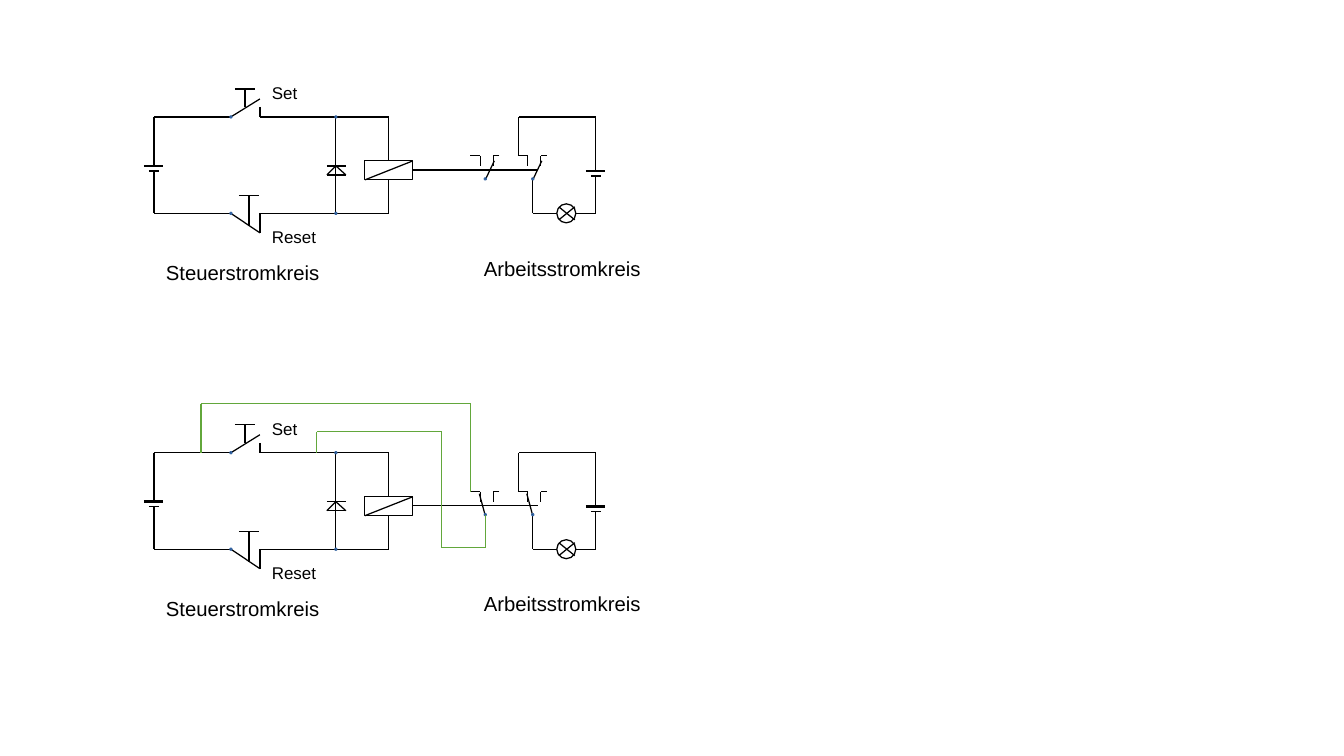
from itertools import pairwise

from lxml import etree
from pptx import Presentation
from pptx import util as u
from pptx.dml.color import RGBColor
from pptx.enum import shapes, text
from pptx.oxml.ns import qn

COLORS = {"wire": "000000", "node": "3465A4", "latch": "62A73B"}
FONT = "Arial"
EMU_PER_PX = 914400 / 122
TEXT_FRAME = {
    "word_wrap": True,
    "auto_size": text.MSO_AUTO_SIZE.NONE,
    "vertical_anchor": text.MSO_ANCHOR.TOP,
    "margin_left": u.Inches(0.1), "margin_right": u.Inches(0.1),
    "margin_top": u.Inches(0.05), "margin_bottom": u.Inches(0.05),
}


def px(*lengths):
    return [u.Emu(round(length * EMU_PER_PX)) for length in lengths]


def color(name):
    return RGBColor.from_string(COLORS[name])


class Diagram:
    """Draws circuit parts on a slide, shifted down by top."""

    def __init__(self, slide):
        self.shapes = slide.shapes
        self.top = 0

    def wire(self, *points, stroke="wire", width=0.75):
        for (x1, y1), (x2, y2) in pairwise(points):
            line = self.shapes.add_connector(
                shapes.MSO_CONNECTOR.STRAIGHT,
                *px(x1, y1 + self.top, x2, y2 + self.top))
            line.line.color.rgb = color(stroke)
            line.line.width = u.Pt(width)
            etree.SubElement(line._element.spPr, qn("a:effectLst"))

    def outline(self, kind, x, y, w, h, stroke="wire", fill=None):
        part = self.shapes.add_shape(kind, *px(x, y + self.top, w, h))
        part.shadow.inherit = False
        part.line.color.rgb = color(stroke)
        part.line.width = u.Pt(0.75)
        if fill:
            part.fill.solid()
            part.fill.fore_color.rgb = color(fill)
        else:
            part.fill.background()

    def node(self, x, y):
        self.outline(shapes.MSO_SHAPE.OVAL, x - 1, y - 1, 2, 2, "node", "wire")

    def label(self, wording, x, y, w, h, size):
        frame = self.shapes.add_textbox(*px(x, y + self.top, w, h)).text_frame
        for name, value in TEXT_FRAME.items():
            setattr(frame, name, value)
        run = frame.paragraphs[0].add_run()
        run.text = wording
        for name, value in {"name": FONT, "size": u.Pt(size)}.items():
            setattr(run.font, name, value)
        run.font.color.rgb = color("wire")

    def battery(self, x, y):
        self.wire((x - 10, y), (x + 9, y), width=1.5)
        self.wire((x - 5, y + 5), (x + 5, y + 5))

    def push_button(self, x, y, stem):
        self.wire((x - 10, y), (x + 10, y))
        self.wire((x, y), (x, y + stem))

    def changeover(self, pivot, closed):
        self.wire((pivot - 15, 156), (pivot - 5, 156), (pivot - 5, 166))
        self.wire((pivot + 14, 156), (pivot + 8, 156), (pivot + 8, 166))
        blade_tip = (pivot - 6, 158) if closed else (pivot + 9, 161)
        self.wire(blade_tip, (pivot, 180))
        self.node(pivot, 179)

    def control_circuit(self):
        # Battery and supply wires
        self.wire((154, 166), (154, 117), (231, 117))
        self.wire((154, 171), (154, 213.5), (231, 213.5))
        self.battery(154, 166)
        # Set and reset buttons
        self.wire((231, 117), (260, 99))
        self.wire((260, 107), (260, 117), (389, 117), (389, 161))
        self.push_button(245, 89, 18)
        self.wire((231, 213.5), (260, 233), (260, 213.5),
                  (389, 213.5), (389, 180))
        self.push_button(249, 196, 30)
        self.label("Set", 260, 77, 57, 50, 10)
        self.label("Reset", 260, 221, 87, 50, 10)
        # Flyback diode
        self.wire((336, 117), (336, 166), (336, 213.5))
        self.wire((327, 166), (346, 166))
        self.wire((336, 166), (327, 175), (346, 175), (336, 166))
        # Relay coil
        self.outline(shapes.MSO_SHAPE.RECTANGLE, 365, 161, 48, 19)
        self.wire((365, 180), (413, 161))
        for x in (231, 336):
            for y in (117, 213.5):
                self.node(x, y)
        self.label("Steuerstromkreis", 154, 254, 184, 35, 12)

    def load_circuit(self):
        # Battery and supply wires
        self.wire((519, 156), (519, 117), (596, 117), (596, 171))
        self.wire((596, 176), (596, 213.5), (576, 213.5))
        self.wire((557, 213.5), (533, 213.5), (533, 180))
        self.battery(596, 171)
        # Lamp
        self.outline(shapes.MSO_SHAPE.OVAL, 557, 204, 19, 19)
        self.wire((559, 207), (575, 220))
        self.wire((575, 207), (559, 220))
        self.label("Arbeitsstromkreis", 472, 250, 188, 35, 12)

    def relay_circuit(self, top, closed):
        self.top = top
        self.control_circuit()
        self.load_circuit()
        # Armature and its two contacts
        self.wire((413, 170), (538, 170))
        for pivot in (485.5, 533):
            self.changeover(pivot, closed)

    def latch(self):
        self.wire((201, 117), (201, 68), (471, 68), (471, 156), stroke="latch")
        self.wire((317, 117), (317, 96), (442, 96), (442, 212),
                  (485.5, 212), (485.5, 179), stroke="latch")


deck = Presentation()
deck.slide_width, deck.slide_height = u.Inches(11.02), u.Inches(6.2)
blank_layout = deck.slide_layouts[6]
diagram = Diagram(deck.slides.add_slide(blank_layout))

# Plain relay above, self-latching relay below
diagram.relay_circuit(top=0, closed=False)
diagram.relay_circuit(top=336, closed=True)
diagram.latch()

deck.save("out.pptx")
